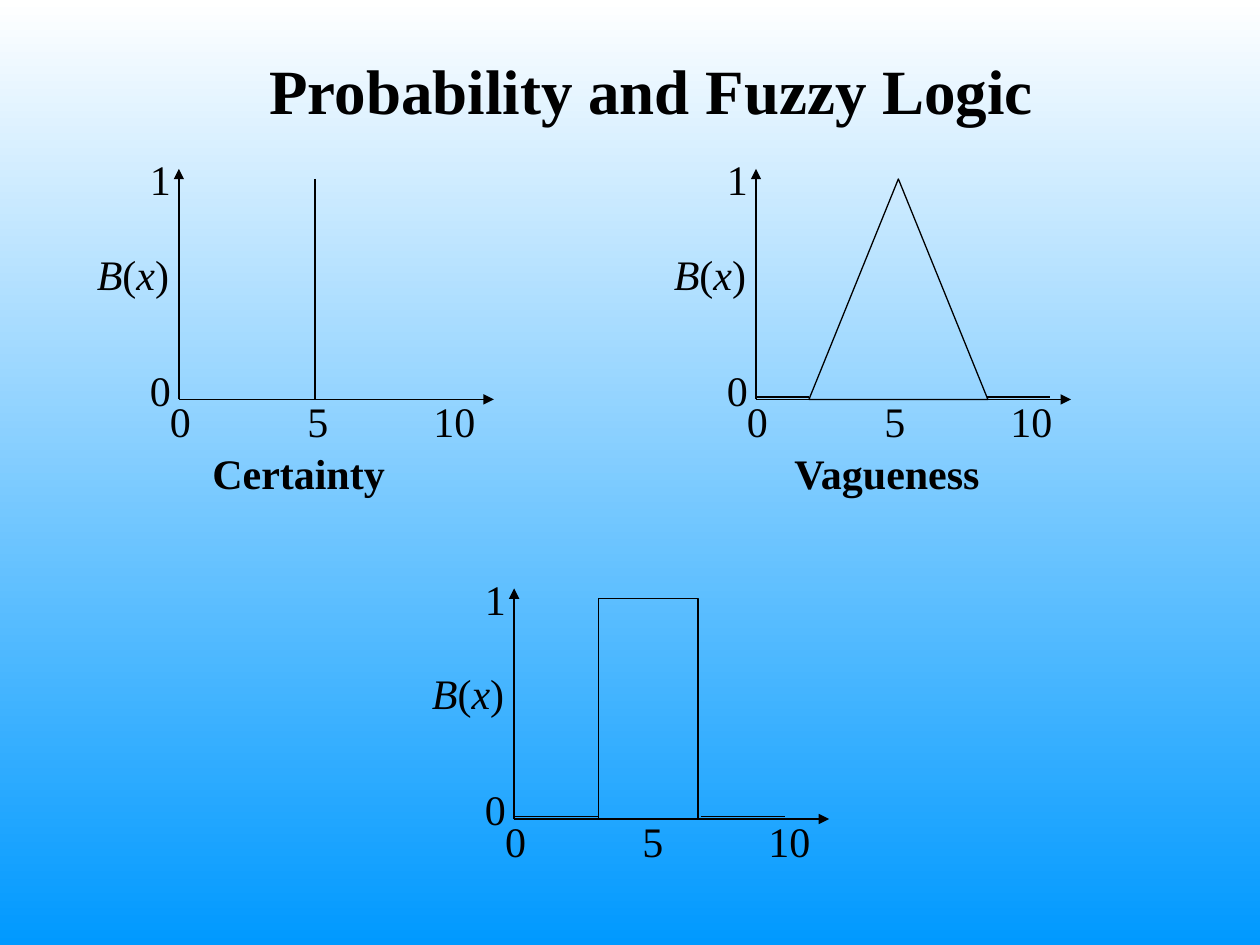
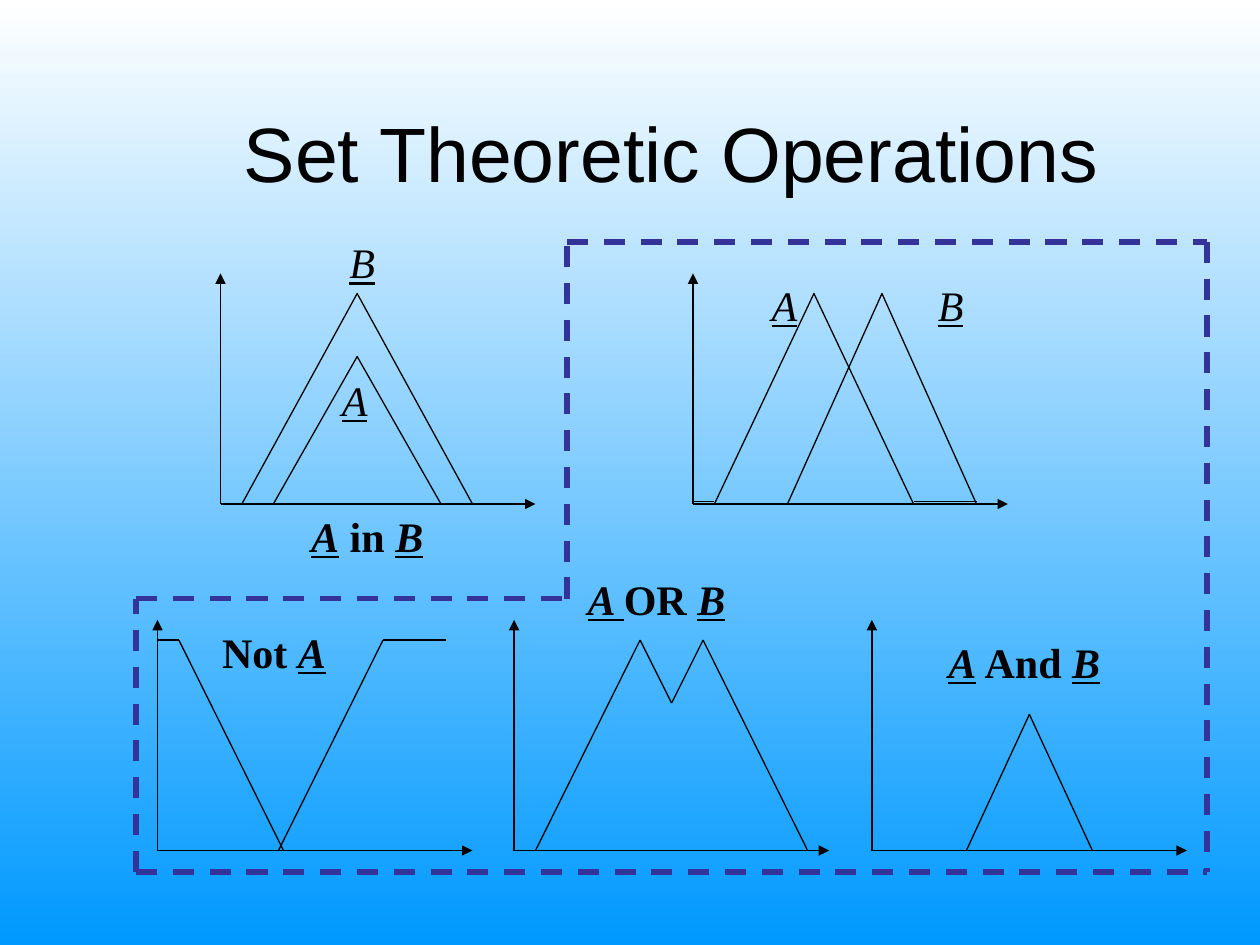
from dataclasses import dataclass
from itertools import pairwise

from lxml.etree import SubElement as Sub
from pptx import Presentation
from pptx.dml.color import RGBColor as RGB
from pptx.enum.dml import MSO_LINE_DASH_STYLE as Dash
from pptx.enum.shapes import MSO_CONNECTOR_TYPE as Link, MSO_SHAPE as Form
from pptx.enum.text import MSO_ANCHOR as Anchor, PP_ALIGN as Align
from pptx.oxml.ns import qn
from pptx.util import Inches, Pt


@dataclass(frozen=True)
class Theme:
    ink: RGB = RGB(0, 0, 0)
    top: RGB = RGB(255, 255, 255)
    base: RGB = RGB(0, 0x99, 255)
    frame: RGB = RGB(0x33, 0x33, 0x99)
    serif: str = "Times New Roman"
    sans: str = "Arial"
    label: int = 24
    head: int = 36
    big: int = 44
    thin: float = 0.75
    thick: float = 3


def write(para, text, font, size, color, style=""):
    run = para.add_run()
    run.text = text
    face = run.font
    face.name, face.size, face.color.rgb = font, Pt(size), color
    face.bold = "b" in style
    face.italic = "i" in style
    face.underline = "u" in style


class Deck:
    def __init__(self, theme):
        self.theme = theme
        self.show = Presentation()
        self.show.slide_width, self.show.slide_height = Inches(10), Inches(7.5)
        fill = self.show.slide_master.background.fill
        fill.gradient()
        fill.gradient_angle = 270
        for stop, color, place in zip(fill.gradient_stops, (theme.top, theme.base), (0, 1)):
            stop.color.rgb, stop.position = color, place

    def page(self):
        self.slide = self.show.slides.add_slide(self.show.slide_layouts[6])
        self.items = self.slide.shapes

    def group(self):
        self.items = self.slide.shapes.add_group_shape().shapes

    def text(self, x, y, wide, *runs, high=0.5, align=Align.LEFT, anchor=Anchor.TOP,
             font=None, size=None):
        box = self.items.add_textbox(Inches(x), Inches(y), Inches(wide), Inches(high))
        frame = box.text_frame
        frame.word_wrap, frame.vertical_anchor = True, anchor
        para = frame.paragraphs[0]
        para.alignment = align
        for words, style in runs:
            write(para, words, font=font or self.theme.serif,
                  size=size or self.theme.label, color=self.theme.ink, style=style)

    def title(self, x, y, words, style="", **form):
        self.text(x, y, 8.5, (words, style), high=1.41, align=Align.CENTER,
                  anchor=Anchor.MIDDLE, **form)

    def name(self, x, y, wide, *runs):
        self.text(x, y, wide, *runs, align=Align.CENTER)

    def line(self, start, end, arrow=False, frame=False):
        link = self.items.add_connector(Link.STRAIGHT, *map(Inches, (*start, *end)))
        link.line.color.rgb = self.theme.frame if frame else self.theme.ink
        link.line.width = Pt(self.theme.thick if frame else self.theme.thin)
        if frame:
            link.line.dash_style = Dash.DASH
        props = link._element.spPr
        if arrow:
            Sub(props.find(qn("a:ln")), qn("a:tailEnd"), type="triangle")
        Sub(props, qn("a:effectLst"))

    def trace(self, *points, **form):
        for start, end in pairwise(points):
            self.line(start, end, **form)

    def shape(self, form, x, y, wide, high):
        item = self.items.add_shape(form, *map(Inches, (x, y, wide, high)))
        item.shadow.inherit = False
        item.fill.background()
        item.line.color.rgb = self.theme.ink
        item.line.width = Pt(self.theme.thin)

    def peak(self, x, base, wide, high):
        self.shape(Form.ISOSCELES_TRIANGLE, x, base - high, wide, high)

    def axes(self, x, y):
        self.group()
        self.line((x, y), (x, y - 1.83), arrow=True)
        self.line((x, y), (x + 2.5, y), arrow=True)

    def plot(self, x, y):
        self.axes(x, y)
        for mark, left, rise in (("1", 0.33, 2), ("0", 0.33, 0.33), ("0", 0.17, 0.08),
                                 ("5", -0.92, 0.08), ("10", -1.92, 0.08)):
            self.text(x - left, y - rise, 0.25 + 0.17 * len(mark), (mark, ""))
        self.text(x - 0.75, y - 1.25, 0.83, ("B", "i"), ("(", ""), ("x", "i"), (")", ""))


def logic(deck):
    deck.page()
    deck.title(0.92, 0, "Probability and Fuzzy Logic", "b", size=deck.theme.head)

    deck.plot(1.42, 3.17)
    deck.line((2.5, 1.42), (2.5, 3.17))
    deck.name(1.33, 3.5, 2.08, ("Certainty", "b"))

    deck.plot(6, 3.17)
    deck.peak(6.42, 3.17, 1.42, 1.75)
    deck.line((6, 3.15), (6.42, 3.15))
    deck.line((7.83, 3.15), (8.33, 3.15))
    deck.name(6, 3.5, 2.08, ("Vagueness", "b"))

    deck.plot(4.08, 6.5)
    deck.shape(Form.RECTANGLE, 4.75, 4.75, 0.79, 1.75)
    deck.line((4.08, 6.48), (4.75, 6.48))
    deck.line((5.56, 6.48), (6.23, 6.48))


def sets(deck):
    deck.page()
    deck.title(1.08, 0.5, "Set Theoretic Operations", font=deck.theme.sans,
               size=deck.theme.big)
    low, mid, top = 6.75, 4, 5.08

    deck.axes(1.75, mid)
    deck.peak(1.92, mid, 1.83, 1.67)
    deck.peak(2.17, mid, 1.33, 1.17)
    deck.name(2.44, 2.92, 0.75, ("A", "iu"))
    deck.name(2.5, 1.83, 0.75, ("B", "iu"))
    deck.name(2.33, mid, 1.17, ("A", "biu"), (" in ", "b"), ("B", "biu"))

    deck.axes(1.25, low)
    deck.trace((1.25, top), (1.42, top), (2.25, low))
    deck.trace((2.21, low), (3.04, top), (3.54, top))
    deck.name(1.6, 4.92, 1.15, ("Not ", "b"), ("A", "biu"))

    deck.axes(5.5, mid)
    deck.peak(5.67, mid, 1.58, 1.67)
    deck.peak(6.25, mid, 1.5, 1.67)
    deck.name(5.85, 2.17, 0.75, ("A", "iu"))
    deck.name(7.17, 2.17, 0.75, ("B", "iu"))
    deck.line((5.5, 3.98), (5.67, 3.98))
    deck.line((7.25, 3.98), (7.75, 3.98))

    deck.axes(4.08, low)
    deck.trace((4.25, low), (5.08, top), (5.33, 5.58), (5.58, top), (6.41, low))
    deck.name(4.5, 4.5, 1.42, ("A ", "biu"), ("OR ", "b"), ("B", "biu"))

    deck.axes(6.92, low)
    deck.trace((7.67, low), (8.17, 5.67), (8.67, low))
    deck.name(7.35, 5, 1.56, ("A", "biu"), (" And ", "b"), ("B", "biu"))

    deck.group()
    deck.trace((1.08, 6.92), (1.08, 4.75), (4.5, 4.75), (4.5, 1.92), (9.58, 1.92),
               (9.58, 6.92), frame=True)
    deck.line((1.08, 6.92), (9.58, 6.92), frame=True)


def main():
    deck = Deck(Theme())
    logic(deck)
    sets(deck)
    deck.show.save("out.pptx")


if __name__ == "__main__":
    main()
